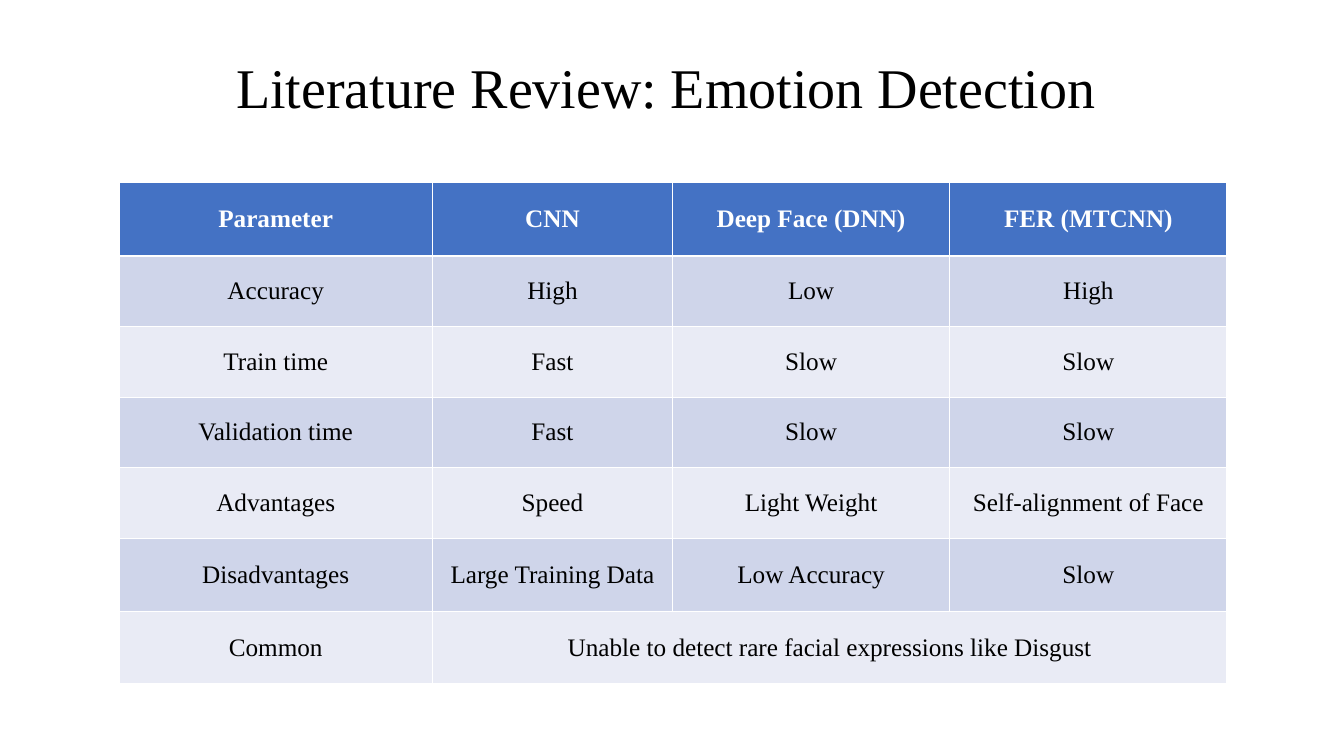
"""Build a slide with a table comparing emotion detection models."""
from pptx import Presentation
from pptx.dml.color import RGBColor
from pptx.enum.text import MSO_ANCHOR, MSO_AUTO_SIZE, PP_ALIGN
from pptx.util import Inches, Pt

FONT = "Times New Roman"
COLORS = {"head": "4472C4", "odd": "CFD5EA", "even": "E9EBF5",
          "white": "FFFFFF", "black": "000000"}
WIDTHS = [3.11, 2.38, 2.75, 2.75]
HEIGHTS = [0.73, 0.7, 0.7, 0.7, 0.7, 0.73, 0.71]
ROWS = [
    ["Parameter", "CNN", "Deep Face (DNN)", "FER (MTCNN)"],
    ["Accuracy", "High", "Low", "High"],
    ["Train time", "Fast", "Slow", "Slow"],
    ["Validation time", "Fast", "Slow", "Slow"],
    ["Advantages", "Speed", "Light Weight", "Self-alignment of Face"],
    ["Disadvantages", "Large Training Data", "Low Accuracy", "Slow"],
    ["Common", "Unable to detect rare facial expressions like Disgust", "", ""],
]


def write(frame, text, size, color, bold=False):
    frame.text = text
    para = frame.paragraphs[0]
    para.alignment = PP_ALIGN.CENTER
    para.font.name = FONT
    para.font.size = Pt(size)
    para.font.bold = bold
    para.font.color.rgb = RGBColor.from_string(COLORS[color])


deck = Presentation()
deck.slide_width, deck.slide_height = Inches(13.33), Inches(7.5)
slide = deck.slides.add_slide(deck.slide_layouts[5])

title = slide.shapes.title
title.left, title.top = Inches(2.05), Inches(0.47)
title.width, title.height = Inches(9.11), Inches(0.77)
frame = title.text_frame
frame.word_wrap = True
frame.auto_size = MSO_AUTO_SIZE.SHAPE_TO_FIT_TEXT
frame.vertical_anchor = MSO_ANCHOR.MIDDLE
write(frame, "Literature Review: Emotion Detection", 40, "black")

table = slide.shapes.add_table(
    len(ROWS), len(WIDTHS), Inches(1.18), Inches(1.81),
    Inches(sum(WIDTHS)), Inches(sum(HEIGHTS))).table
for col, width in zip(table.columns, WIDTHS):
    col.width = Inches(width)
for row, height in zip(table.rows, HEIGHTS):
    row.height = Inches(height)
table.cell(6, 1).merge(table.cell(6, 3))

for r, texts in enumerate(ROWS):
    head = r == 0
    fill = "head" if head else "odd" if r % 2 else "even"
    for c, text in enumerate(texts):
        cell = table.cell(r, c)
        cell.vertical_anchor = MSO_ANCHOR.MIDDLE
        cell.fill.solid()
        cell.fill.fore_color.rgb = RGBColor.from_string(COLORS[fill])
        write(cell.text_frame, text, 18, "white" if head else "black", head)

deck.save("out.pptx")
